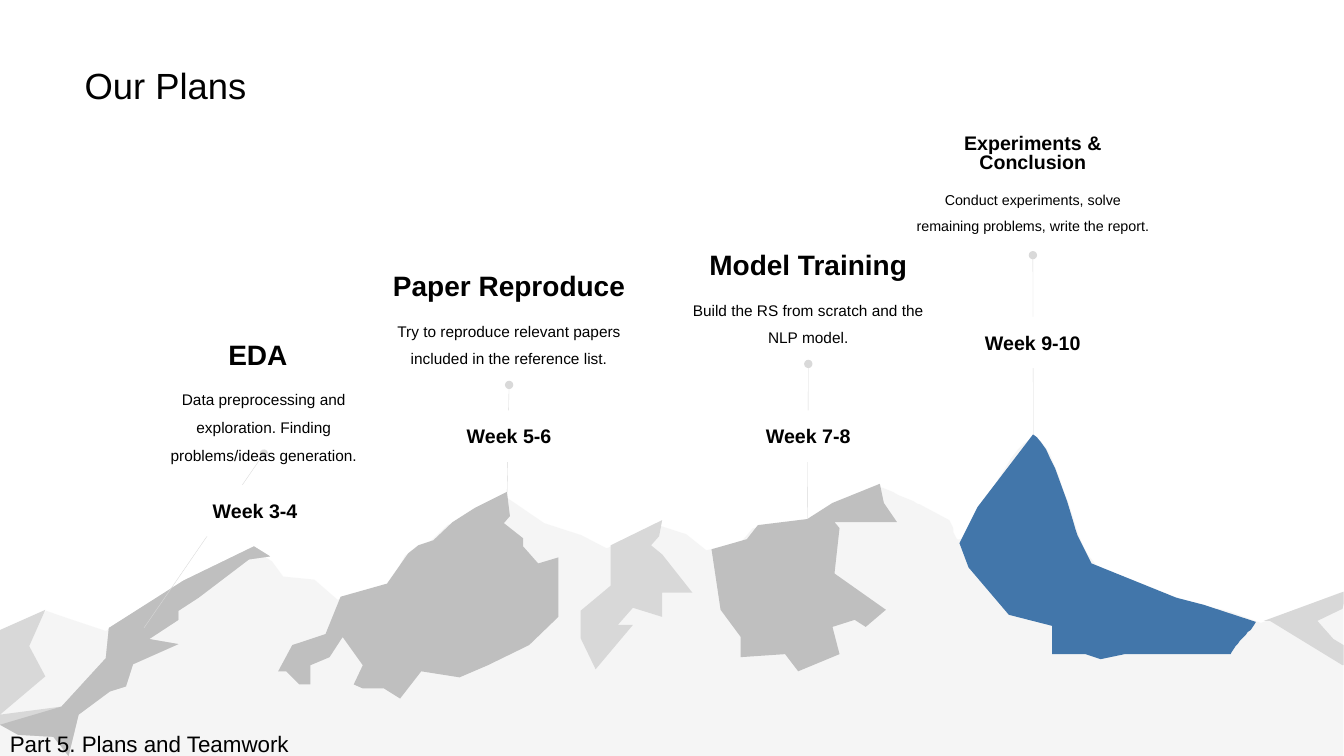
import pptx
import pptx.dml.color
import pptx.enum.shapes
import pptx.enum.text
import pptx.oxml
import pptx.oxml.ns
import pptx.util

Cm = pptx.util.Cm
Pt = pptx.util.Pt
RGBColor = pptx.dml.color.RGBColor
ALIGN = pptx.enum.text.PP_ALIGN
ANCHOR = pptx.enum.text.MSO_ANCHOR
SHAPE = pptx.enum.shapes.MSO_SHAPE

BLACK = RGBColor(0x00, 0x00, 0x00)
WHITE = RGBColor(0xFF, 0xFF, 0xFF)
MIST = RGBColor(0xF2, 0xF2, 0xF2)
LIGHT = RGBColor(0xD8, 0xD8, 0xD8)
GREY = RGBColor(0xBF, 0xBF, 0xBF)
BLUE = RGBColor(0x42, 0x76, 0xAA)
LINE = RGBColor(0xD9, 0xD9, 0xD9)

FONT = "Arial"
GRID = Cm(2.54) / 100  # outline unit
CURVE_STEPS = 12

# Outlines: a pair is a corner, six numbers are a cubic curve (two handles, end).
RIDGE = [
    (1027, 435), (1047, 438, 1065, 528, 1080, 551), (1095, 574, 1115, 572, 1115, 572),
    (1173, 595), (1221, 607), (1251, 618), (1330, 588), (1333, 589), (1333, 750),
    (0, 750), (0, 638), (5, 639), (46, 606), (69, 614), (105, 626), (162, 593),
    (179, 582), (198, 576), (249, 543), (270, 557), (281, 572), (312, 575),
    (335, 595), (387, 579), (402, 551), (426, 538), (444, 521), (491, 501),
    (499, 491), (540, 519), (577, 531), (602, 544), (631, 531), (653, 521),
    (681, 530), (701, 546), (736, 537), (747, 524), (797, 518), (827, 500),
    (868, 482), (871, 481, 912, 500, 912, 500), (942, 516),
    (948, 521, 944, 544, 958, 531), (972, 517, 1007, 431, 1027, 435)]
WEST_FACE = [
    (252, 542), (268, 552), (247, 555), (197, 593), (177, 606), (177, 615),
    (148, 634), (177, 639), (132, 659), (125, 681), (109, 686), (78, 709),
    (68, 750), (53, 731), (18, 729), (0, 719)]
WEST_SLOPE = WEST_FACE + [
    (0, 625), (45, 605), (29, 641), (45, 671), (0, 709), (61, 701), (105, 653),
    (108, 623), (182, 576)]
WEST_SHADE = [(61, 701), (105, 653), (108, 623), (182, 576)] + WEST_FACE
PAPER_PEAK = [
    (338, 592), (323, 629), (290, 640), (276, 666), (284, 666), (297, 679),
    (308, 679), (308, 660), (327, 652), (340, 632), (360, 660), (351, 679),
    (360, 683), (381, 683), (397, 693), (418, 666), (456, 672), (484, 660),
    (525, 640), (554, 612), (554, 553), (534, 559), (519, 542), (519, 534),
    (500, 519), (506, 512), (503, 488), (471, 504), (449, 518), (430, 536),
    (415, 541), (405, 549), (384, 579)]
MIDDLE_PEAK = [
    (606, 541), (606, 581), (576, 606), (576, 633), (591, 664), (628, 620),
    (613, 620), (628, 603), (657, 612), (657, 588), (687, 588), (657, 550),
    (646, 541), (654, 532), (657, 516)]
MODEL_PEAK = [
    (706, 545), (715, 605), (735, 632), (735, 652), (779, 649), (792, 666),
    (833, 649), (826, 622), (848, 615), (859, 622), (879, 605), (828, 569),
    (833, 524), (828, 518), (890, 518), (877, 499), (873, 480), (826, 499),
    (801, 515), (752, 521), (741, 535)]
FINAL_PEAK = [
    (970, 503), (952, 539), (961, 563), (1001, 610), (1044, 621), (1044, 649),
    (1077, 649), (1092, 654), (1116, 649), (1221, 649),
    (1224, 640, 1242, 626, 1246, 617), (1194, 600), (1167, 593), (1083, 559),
    (1069, 531), (1064, 513, 1041, 436, 1025, 431)]
EAST_SLOPE = [
    (1333, 587), (1333, 599), (1332, 604), (1307, 616), (1323, 634), (1333, 640),
    (1333, 660), (1332, 660), (1260, 616), (1254, 616)]
MOUNTAINS = [
    (RIDGE, MIST, 70), (WEST_SLOPE, LIGHT, 100), (PAPER_PEAK, GREY, 100),
    (MIDDLE_PEAK, LIGHT, 100), (MODEL_PEAK, GREY, 100), (FINAL_PEAK, BLUE, 100),
    (EAST_SLOPE, LIGHT, 100), (WEST_SHADE, GREY, 100)]

BOX_W, HEAD_H, BODY_H = 6.5, 1.3, 1.95
WEEK_W, WEEK_H = 3.66, 1.3

# Left and top of the text block, top of the week label, foot of the line (cm)
MILESTONES = [
    dict(left=3.4, top=8.18, week_top=12.22, foot=(3.63, 15.82), head="EDA",
         body="Data preprocessing and exploration. Finding problems/ideas generation.",
         week="Week 3-4", head_dx=-0.15, week_dx=-0.22),
    dict(left=9.58, top=6.45, week_top=10.34, foot=(12.78, 12.4), head="Paper Reproduce",
         body="Try to reproduce relevant papers included in the reference list.",
         week="Week 5-6"),
    dict(left=17.12, top=5.92, week_top=10.34, foot=(20.35, 13.08), head="Model Training",
         body="Build the RS from scratch and the NLP model.", week="Week 7-8"),
    dict(left=22.78, top=3.18, week_top=7.98, foot=(26.04, 10.95),
         head="Experiments & Conclusion",
         body="Conduct experiments, solve remaining problems, write the report.",
         week="Week 9-10", head_size=14, head_spacing=0.8, body_size=10.2)]


def write(sp, text, size=11, bold=False, align=ALIGN.LEFT, spacing=1.0, anchor=ANCHOR.TOP):
    tf = sp.text_frame
    tf.word_wrap = True
    tf.auto_size = pptx.enum.text.MSO_AUTO_SIZE.NONE
    tf.vertical_anchor = anchor
    p = tf.paragraphs[0]
    p.alignment = align
    p.line_spacing = spacing
    r = p.add_run()
    r.text = text
    r.font.name = FONT
    r.font.size = Pt(size)
    r.font.bold = bold
    r.font.color.rgb = BLACK


def add_text(slide, left, top, width, height, text, **fmt):
    sp = slide.shapes.add_textbox(Cm(left), Cm(top), Cm(width), Cm(height))
    write(sp, text, **fmt)


def paint(sp, color):
    sp.shadow.inherit = False
    sp.fill.solid()
    sp.fill.fore_color.rgb = color
    sp.line.fill.background()


def flatten(outline):
    """Turn the curves of an outline into short straight steps."""
    points = []
    for step in outline:
        if len(step) == 2:
            points.append(step)
            continue
        knots = [points[-1], step[:2], step[2:4], step[4:]]
        for i in range(1, CURVE_STEPS + 1):
            t = i / CURVE_STEPS
            weights = ((1 - t) ** 3, 3 * t * (1 - t) ** 2, 3 * t * t * (1 - t), t ** 3)
            points.append(tuple(sum(w * k[axis] for w, k in zip(weights, knots))
                                for axis in (0, 1)))
    return points


def add_mountains(slide, left, top):
    for outline, color, opacity in MOUNTAINS:
        points = flatten(outline)
        builder = slide.shapes.build_freeform(*points[0], scale=GRID)
        builder.add_line_segments(points[1:], close=True)
        sp = builder.convert_to_shape(Cm(left), Cm(top))
        paint(sp, color)
        if opacity < 100:
            clr = sp.fill._xPr.find(".//" + pptx.oxml.ns.qn("a:srgbClr"))
            clr.append(pptx.oxml.parse_xml(
                f'<a:alpha {pptx.oxml.ns.nsdecls("a")} val="{opacity * 1000}"/>'))


def add_pin(slide, foot, tip):
    """Thin line from a mountain up to a round end under the text."""
    line = slide.shapes.add_connector(pptx.enum.shapes.MSO_CONNECTOR.STRAIGHT,
                                      *map(Cm, foot + tip))
    line.line.color.rgb = LINE
    line.line.width = Pt(0.25)
    ns = pptx.oxml.ns.nsdecls("a")
    line.line._get_or_add_ln().append(pptx.oxml.parse_xml(f'<a:tailEnd {ns} type="oval"/>'))
    line._element.spPr.append(pptx.oxml.parse_xml(f"<a:effectLst {ns}/>"))


def add_milestone(slide, left, top, week_top, foot, head, body, week, head_dx=0, week_dx=0,
                  head_size=20, head_spacing=1.0, body_size=11):
    add_pin(slide, foot, (left + BOX_W / 2, top + HEAD_H + BODY_H))
    add_text(slide, left + head_dx, top, BOX_W, HEAD_H, head, size=head_size, bold=True,
             align=ALIGN.CENTER, spacing=head_spacing, anchor=ANCHOR.BOTTOM)
    add_text(slide, left, top + HEAD_H, BOX_W, BODY_H, body, size=body_size,
             align=ALIGN.CENTER, spacing=1.5)
    week_left = left + (BOX_W - WEEK_W) / 2 + week_dx
    sp = slide.shapes.add_shape(SHAPE.RECTANGLE, Cm(week_left), Cm(week_top),
                                Cm(WEEK_W), Cm(WEEK_H))
    paint(sp, WHITE)
    write(sp, week, size=14, bold=True, align=ALIGN.CENTER, anchor=ANCHOR.MIDDLE)


def add_title(slide, left, top, width, height, text):
    sp = slide.shapes.title
    sp.left, sp.top, sp.width, sp.height = map(Cm, (left, top, width, height))
    write(sp, text, size=26, spacing=0.9, anchor=ANCHOR.MIDDLE)


def main():
    prs = pptx.Presentation()
    prs.slide_width, prs.slide_height = Cm(33.87), Cm(19.05)
    slide = prs.slides.add_slide(prs.slide_layouts[5])
    add_title(slide, 1.88, 1.57, 4.93, 1.3, "Our Plans")
    add_mountains(slide, 0, 0)
    for milestone in MILESTONES:
        add_milestone(slide, **milestone)
    add_text(slide, 0, 18.14, 10.54, 1.83, "Part 5. Plans and Teamwork", size=16, spacing=1.2)
    prs.save("out.pptx")


if __name__ == "__main__":
    main()
